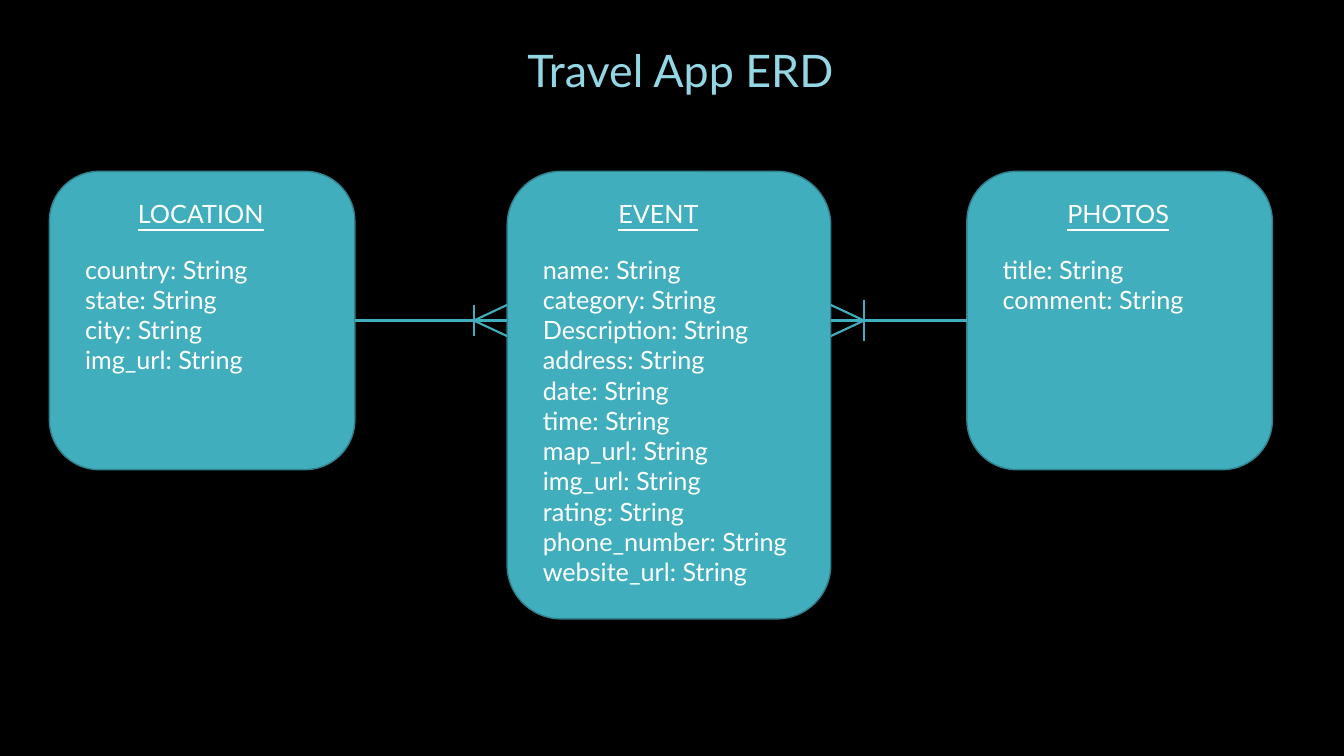
"""Build the Travel App entity relationship diagram slide."""
import pptx
import pptx.util
import pptx.dml.color
import pptx.enum.shapes
import pptx.enum.text
import pptx.oxml

Inches, Pt = pptx.util.Inches, pptx.util.Pt
ALIGN = pptx.enum.text.PP_ALIGN
ANCHOR = pptx.enum.text.MSO_ANCHOR

COLORS = {"background": "000000", "title": "94D7E4", "card": "41AEBD",
          "border": "30818C", "text": "FFFFFF"}
TITLE = "Travel App ERD"
ENTITIES = [
    ("LOCATION", 0.49, 3.03, 2.96, 2.49,
     ["country", "state", "city", "img_url"]),
    ("EVENT", 5.03, 3.21, 4.44, 2.82,
     ["name", "category", "Description", "address", "date", "time", "map_url",
      "img_url", "rating", "phone_number", "website_url"]),
    ("PHOTOS", 9.59, 3.03, 2.96, 2.49, ["title", "comment"]),
]
CARD_TOP, HEADING_TOP, FIELDS_TOP = 1.7, 1.92, 2.47
HEADING_WIDTH, LINE_HEIGHT, INSET = 2.49, 0.3, 0.255
LINK_Y, FOOT_LENGTH, FOOT_SPREAD = 3.18, 0.33, 0.155
RELATIONS = [(3.52, 5.03, -1, 0.155), (9.59, 8.24, 1, 0.205)]


def color(name):
    return pptx.dml.color.RGBColor.from_string(COLORS[name])


def add_text(left, top, width, height, lines, size=18, shade="text",
             align=ALIGN.LEFT, underline=None, anchor=ANCHOR.TOP, spacing=None):
    box = slide.shapes.add_textbox(*map(Inches, (left, top, width, height)))
    frame = box.text_frame
    frame.word_wrap = True
    frame.vertical_anchor = anchor
    for index, line in enumerate(lines):
        paragraph = frame.paragraphs[0] if index == 0 else frame.add_paragraph()
        paragraph.alignment = align
        paragraph.line_spacing = spacing
        run = paragraph.add_run()
        run.text = line
        run.font.name = "Lato"
        run.font.size = Pt(size)
        run.font.underline = underline
        run.font.color.rgb = color(shade)


def add_entity(name, left, width, height, fields_width, fields):
    card = slide.shapes.add_shape(
        pptx.enum.shapes.MSO_SHAPE.ROUNDED_RECTANGLE,
        *map(Inches, (left, CARD_TOP, width, height)))
    card.shadow.inherit = False
    card.fill.solid()
    card.fill.fore_color.rgb = color("card")
    card.line.color.rgb = color("border")
    card.line.width = Pt(1)
    add_text(left + INSET, HEADING_TOP, HEADING_WIDTH, 0.42, [name],
             align=ALIGN.CENTER, underline=True)
    add_text(left + INSET, FIELDS_TOP, fields_width,
             0.1 + LINE_HEIGHT * len(fields),
             [f"{field}: String" for field in fields])


def add_line(x1, y1, x2, y2):
    link = slide.shapes.add_connector(
        pptx.enum.shapes.MSO_CONNECTOR.STRAIGHT,
        *map(Inches, (x1, y1, x2, y2)))
    link.line.color.rgb = color("card")
    link.line.width = Pt(1.5)
    link._element.spPr.append(pptx.oxml.parse_xml(
        '<a:effectLst xmlns:a="http://schemas.openxmlformats.org/drawingml/2006/main"/>'))


def add_relation(one_x, many_x, direction, bar_reach):
    foot_x = many_x + direction * FOOT_LENGTH
    add_line(one_x, LINK_Y, many_x, LINK_Y)
    add_line(foot_x, LINK_Y - bar_reach, foot_x, LINK_Y + bar_reach)
    for side in (-1, 1):
        add_line(foot_x, LINK_Y, many_x, LINK_Y + side * FOOT_SPREAD)


deck = pptx.Presentation()
deck.slide_width, deck.slide_height = Inches(13.33), Inches(7.5)
slide = deck.slides.add_slide(deck.slide_layouts[6])
slide.background.fill.solid()
slide.background.fill.fore_color.rgb = color("background")

add_text(1.75, 0.19, 10, 0.82, [TITLE], size=32, shade="title",
         align=ALIGN.CENTER, anchor=ANCHOR.BOTTOM, spacing=0.9)
for entity in ENTITIES:
    add_entity(*entity)
for relation in RELATIONS:
    add_relation(*relation)

deck.save("out.pptx")
